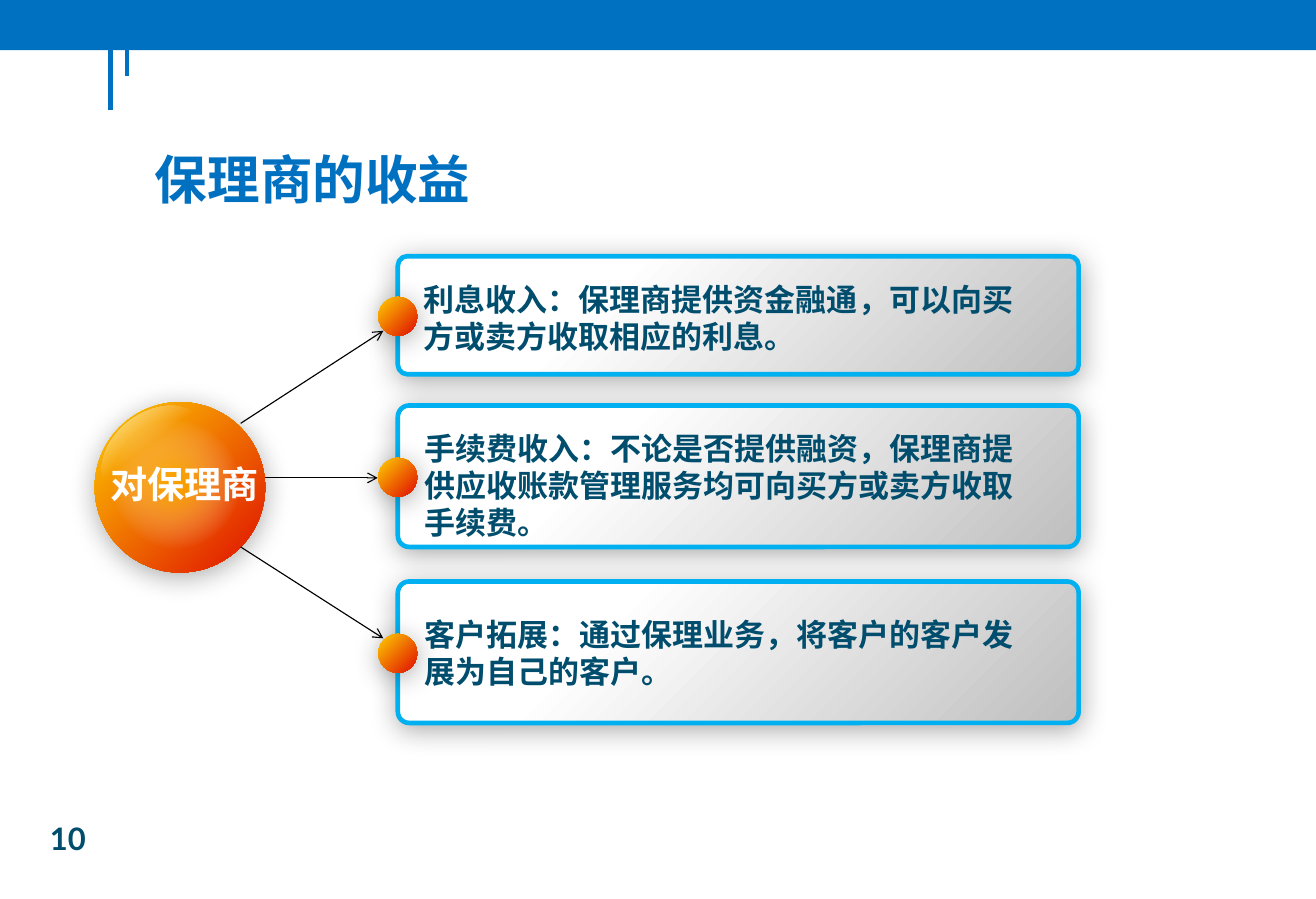
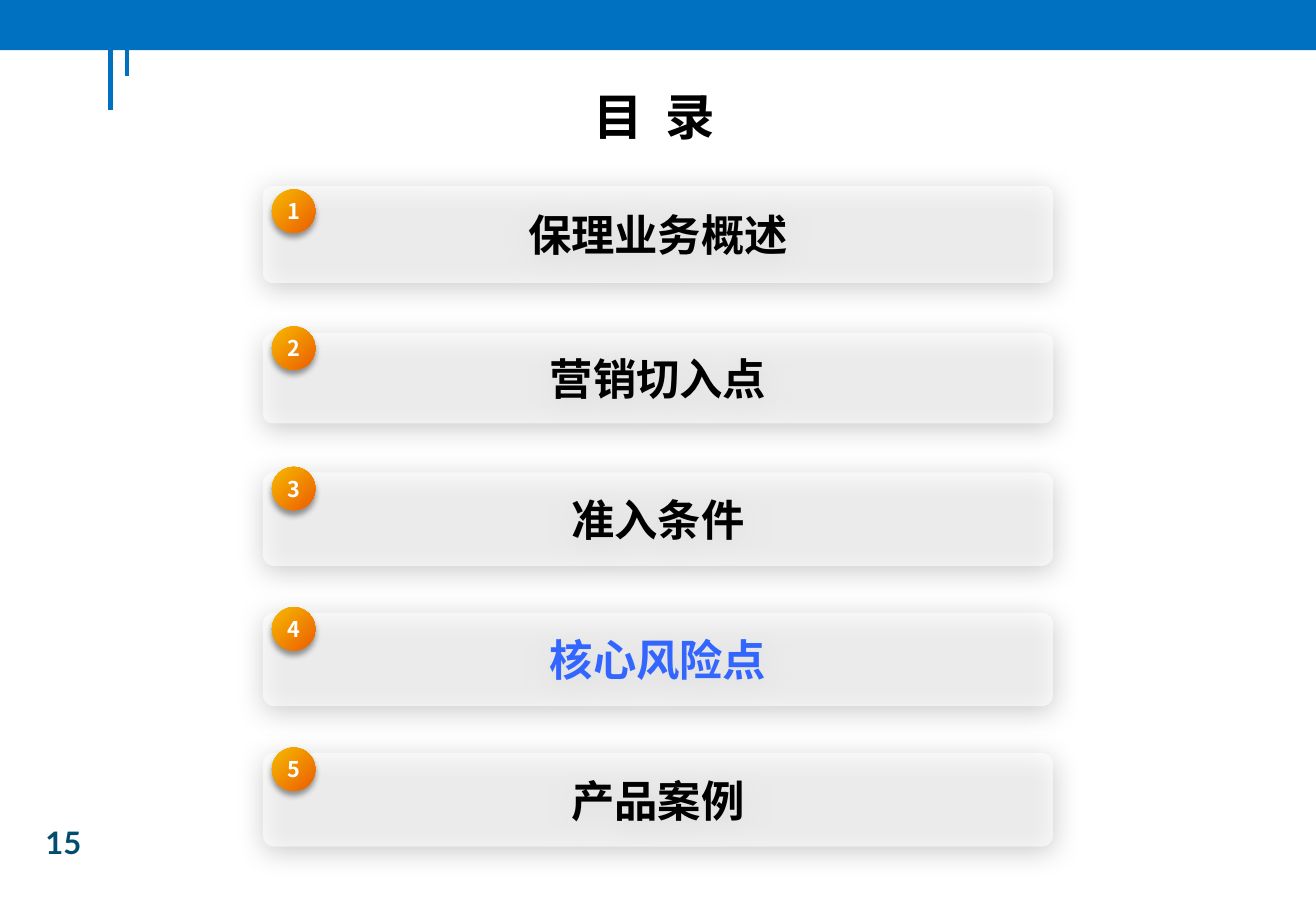
from dataclasses import dataclass
from typing import NamedTuple

from lxml.etree import SubElement
from pptx import Presentation
from pptx.dml.color import RGBColor
from pptx.enum.shapes import MSO_CONNECTOR, MSO_SHAPE as Preset
from pptx.enum.text import MSO_ANCHOR as Anchor, MSO_AUTO_SIZE as AutoSize, PP_ALIGN as Align
from pptx.oxml.ns import qn
from pptx.util import Inches, Pt


class TextStyle(NamedTuple):
    font: str
    size: float
    color: str


class Stop(NamedTuple):
    position: int
    color: str
    alpha: int = 100


class Shadow(NamedTuple):
    alpha: int
    blur: float
    distance: float
    angle: int


CJK, LATIN = "Noto Sans CJK SC", "Lato"


@dataclass(frozen=True)
class Theme:
    brand = "0070C0"
    black = "000000"
    white = "FFFFFF"
    frame = "00B0F0"
    heading = TextStyle(CJK, 34, "0070C0")
    agenda_heading = TextStyle(CJK, 32, "000000")
    body = TextStyle(LATIN, 20, "004D6D")
    hub = TextStyle(CJK, 24, "FFFFFF")
    agenda = TextStyle(CJK, 28, "000000")
    agenda_current = TextStyle(CJK, 28, "3366FF")
    badge = TextStyle(CJK, 14, "FFFFFF")
    orange = (Stop(0, "FFCF01"), Stop(90, "E22000"))
    badge_orange = (Stop(0, "F6BB00"), Stop(90, "ED6601"))
    panel = (Stop(30, "FFFFFF"), Stop(100, "BFBFBF"))
    gloss = (Stop(0, "FFFFFF"), Stop(45, "FFFFFF", 0))
    glow = (Stop(10, "FFC000", 60), Stop(70, "FFFFFF", 0))
    soft_shadow = Shadow(33, 17.8, 3, 87)
    badge_shadow = Shadow(40, 4, 3, 90)


THEME = Theme()


class Box(NamedTuple):
    left: float
    top: float
    width: float
    height: float

    @property
    def middle(self):
        return self.top + self.height / 2

    def lengths(self):
        return [Inches(value) for value in self]


class Benefit(NamedTuple):
    text: str
    top: float
    height: float
    text_drop: float


class AgendaItem(NamedTuple):
    text: str
    top: float
    height: float
    corner: float
    badge_offset: float
    style: TextStyle = THEME.agenda


BENEFITS = (
    Benefit("利息收入：保理商提供资金融通，可以向买方或卖方收取相应的利息。", 2.3, 1.06, 0.02),
    Benefit("手续费收入：不论是否提供融资，保理商提供应收账款管理服务均可向买方或卖方收取手续费。",
            3.64, 1.27, 0.08),
    Benefit("客户拓展：通过保理业务，将客户的客户发展为自己的客户。", 5.22, 1.27, 0),
)
AGENDA = (
    AgendaItem("保理业务概述", 1.67, 0.87, 0.09, 0.03),
    AgendaItem("营销切入点", 2.99, 0.81, 0.1, -0.06),
    AgendaItem("准入条件", 4.24, 0.84, 0.12, -0.05),
    AgendaItem("核心风险点", 5.5, 0.84, 0.12, -0.05, THEME.agenda_current),
    AgendaItem("产品案例", 6.76, 0.84, 0.12, -0.05),
)
ARROWS = (((2.16, 3.8), (3.44, 2.97)), ((2.38, 4.29), (3.39, 4.29)), ((2.16, 4.91), (3.44, 5.73)))


def add_color(parent, color, alpha):
    element = SubElement(parent, qn("a:srgbClr"), val=color)
    if alpha < 100:
        SubElement(element, qn("a:alpha"), val=str(alpha * 1000))


def fill_solid(shape, color, alpha=100):
    shape.fill.solid()
    shape.fill.fore_color.rgb = RGBColor.from_string(color)
    if alpha < 100:
        color_element = shape.element.spPr.find(qn("a:solidFill"))[0]
        SubElement(color_element, qn("a:alpha"), val=str(alpha * 1000))


def fill_gradient(shape, stops, angle=None):
    """Fill linearly at the angle, or from the centre when there is none."""
    shape.fill.background()
    properties = shape.element.spPr
    empty_fill = properties.find(qn("a:noFill"))
    gradient = SubElement(properties, qn("a:gradFill"), rotWithShape="1")
    properties.replace(empty_fill, gradient)
    stop_list = SubElement(gradient, qn("a:gsLst"))
    for stop in stops:
        add_color(SubElement(stop_list, qn("a:gs"), pos=str(stop.position * 1000)),
                  stop.color, stop.alpha)
    if angle is None:
        path = SubElement(gradient, qn("a:path"), path="circle")
        SubElement(path, qn("a:fillToRect"), l="50000", t="50000", r="50000", b="50000")
    else:
        SubElement(gradient, qn("a:lin"), ang=str(angle * 60000), scaled="0")


def add_shape(shapes, preset, box, shadow=None):
    """Add a shape without an outline, and with only the given shadow."""
    shape = shapes.add_shape(preset, *box.lengths())
    shape.line.fill.background()
    shape.shadow.inherit = False
    if shadow:
        effects = shape.element.spPr.find(qn("a:effectLst"))
        outer = SubElement(effects, qn("a:outerShdw"), blurRad=str(Pt(shadow.blur)),
                           dist=str(Pt(shadow.distance)), dir=str(shadow.angle * 60000),
                           algn="ctr", rotWithShape="0")
        add_color(outer, THEME.black, shadow.alpha)
    return shape


def add_line(shapes, start, end, color, width, arrow=False):
    line = shapes.add_connector(MSO_CONNECTOR.STRAIGHT,
                                *[Inches(value) for value in (*start, *end)])
    line.line.color.rgb = RGBColor.from_string(color)
    line.line.width = Pt(width)
    properties = line.element.spPr
    SubElement(properties, qn("a:effectLst"))
    if arrow:
        SubElement(properties.find(qn("a:ln")), qn("a:tailEnd"), type="arrow")
    return line


def add_run(paragraph, text, style, spacing=0):
    run = paragraph.add_run()
    run.text = text
    run.font.name = style.font
    run.font.size = Pt(style.size)
    run.font.bold = True
    run.font.color.rgb = RGBColor.from_string(style.color)
    properties = run.font._element
    SubElement(properties, qn("a:ea"), typeface=style.font)
    if spacing:
        properties.set("spc", str(int(spacing * 100)))


def set_text(shape, runs, style, align=Align.LEFT, anchor=Anchor.MIDDLE):
    """Write runs given as (text, letter spacing in points)."""
    frame = shape.text_frame
    frame.word_wrap = True
    frame.auto_size = AutoSize.NONE
    frame.vertical_anchor = anchor
    paragraph = frame.paragraphs[0]
    paragraph.alignment = align
    for text, spacing in runs:
        add_run(paragraph, text, style, spacing)


def add_text(shapes, box, text, style, align=Align.LEFT, anchor=Anchor.TOP):
    set_text(shapes.add_textbox(*box.lengths()), [(text, 0)], style, align, anchor)


def set_title(slide, box, runs, style, align, anchor):
    title = slide.shapes.title
    title.left, title.top, title.width, title.height = box.lengths()
    set_text(title, runs, style, align, anchor)


def add_layout_band(slide):
    """Draw the top band and its two bars, then hand them to the slide's layout."""
    shapes = slide.shapes
    bars = [add_line(shapes, (x, 0.05), (x, bottom), THEME.brand, 3)
            for x, bottom in ((0.99, 0.99), (1.14, 0.68))]
    band = add_shape(shapes, Preset.RECTANGLE, Box(0, 0, 11.81, 0.45))
    fill_solid(band, THEME.brand)
    for number, part in enumerate([*bars, band], start=20):
        part.element.xpath(".//p:cNvPr")[0].set("id", str(number))
        slide.slide_layout.shapes.element.append(part.element)


def add_hub(slide, box, label):
    """Draw the glossy ball; its layers are set from the corner of the box."""
    shapes = slide.shapes.add_group_shape().shapes
    ball = add_shape(shapes, Preset.OVAL, box, THEME.soft_shadow)
    fill_gradient(ball, THEME.orange, 45)
    gloss = add_shape(shapes, Preset.OVAL, Box(box.left + 0.01, box.top + 0.09, 1.04, 0.74))
    gloss.rotation = 323.1
    fill_gradient(gloss, THEME.gloss, 90)
    glow = add_shape(shapes, Preset.OVAL, Box(box.left + 0.15, box.top + 0.16, 1.16, 1.16))
    fill_gradient(glow, THEME.glow)
    add_text(shapes, Box(box.left + 0.02, box.top + 0.48, 1.57, 0.5), label, THEME.hub,
             Align.CENTER, Anchor.MIDDLE)


def add_benefit(slide, box, benefit):
    panel = add_shape(slide.shapes, Preset.ROUNDED_RECTANGLE, box, THEME.soft_shadow)
    panel.adjustments[0] = 0.08
    fill_gradient(panel, THEME.panel, 45)
    panel.line.color.rgb = RGBColor.from_string(THEME.frame)
    panel.line.width = Pt(3)
    frame = panel.text_frame
    frame.margin_left, frame.margin_right = Inches(0.21), Inches(0.31)
    frame.margin_top, frame.margin_bottom = Inches(2 * benefit.text_drop), 0
    set_text(panel, [(benefit.text, 0)], THEME.body)

    size = 0.35
    knob_box = Box(box.left - size / 2, box.middle - size / 2 + 0.01, size, size)
    knob = add_shape(slide.shapes, Preset.OVAL, knob_box, THEME.soft_shadow)
    fill_gradient(knob, THEME.orange, 45)


def add_agenda_item(slide, box, number, item):
    bar = add_shape(slide.shapes, Preset.ROUNDED_RECTANGLE, box, THEME.soft_shadow)
    bar.adjustments[0] = item.corner
    fill_solid(bar, THEME.white, 60)
    set_text(bar, [(item.text, 0)], item.style, Align.CENTER)

    badge_box = Box(box.left + 0.08, box.top + item.badge_offset, 0.39, 0.39)
    badge = add_shape(slide.shapes, Preset.OVAL, badge_box, THEME.badge_shadow)
    fill_gradient(badge, THEME.badge_orange, 45)
    frame = badge.text_frame
    frame.margin_left = frame.margin_right = frame.margin_top = frame.margin_bottom = 0
    set_text(badge, [(str(number), 0.5)], THEME.badge, Align.CENTER)


def build_benefits_slide(slide):
    set_title(slide, Box(1.29, 1.27, 9.77, 0.8), [("保理商的收益", 0)], THEME.heading,
              Align.LEFT, Anchor.TOP)
    add_hub(slide, Box(0.85, 3.61, 1.53, 1.53), "对保理商")
    for benefit in BENEFITS:
        add_benefit(slide, Box(3.57, benefit.top, 6.11, benefit.height), benefit)
    for start, end in ARROWS:
        add_line(slide.shapes, start, end, THEME.black, 0.75, arrow=True)
    add_text(slide.shapes, Box(0.35, 7.31, 0.65, 0.44), "10", THEME.body)


def build_agenda_slide(slide):
    set_title(slide, Box(0.71, 0.73, 10.32, 0.61), [("目", 0), (" ", 7), ("录", 0)],
              THEME.agenda_heading, Align.CENTER, Anchor.MIDDLE)
    for number, item in enumerate(AGENDA, start=1):
        add_agenda_item(slide, Box(2.36, item.top, 7.09, item.height), number, item)
    add_text(slide.shapes, Box(0.31, 7.34, 0.63, 0.44), "15", THEME.body)


def main():
    presentation = Presentation()
    presentation.slide_width, presentation.slide_height = Inches(11.81), Inches(8.07)
    title_only = presentation.slide_layouts[5]
    benefits_slide = presentation.slides.add_slide(title_only)
    add_layout_band(benefits_slide)
    build_benefits_slide(benefits_slide)
    build_agenda_slide(presentation.slides.add_slide(title_only))
    presentation.save("out.pptx")


if __name__ == "__main__":
    main()
